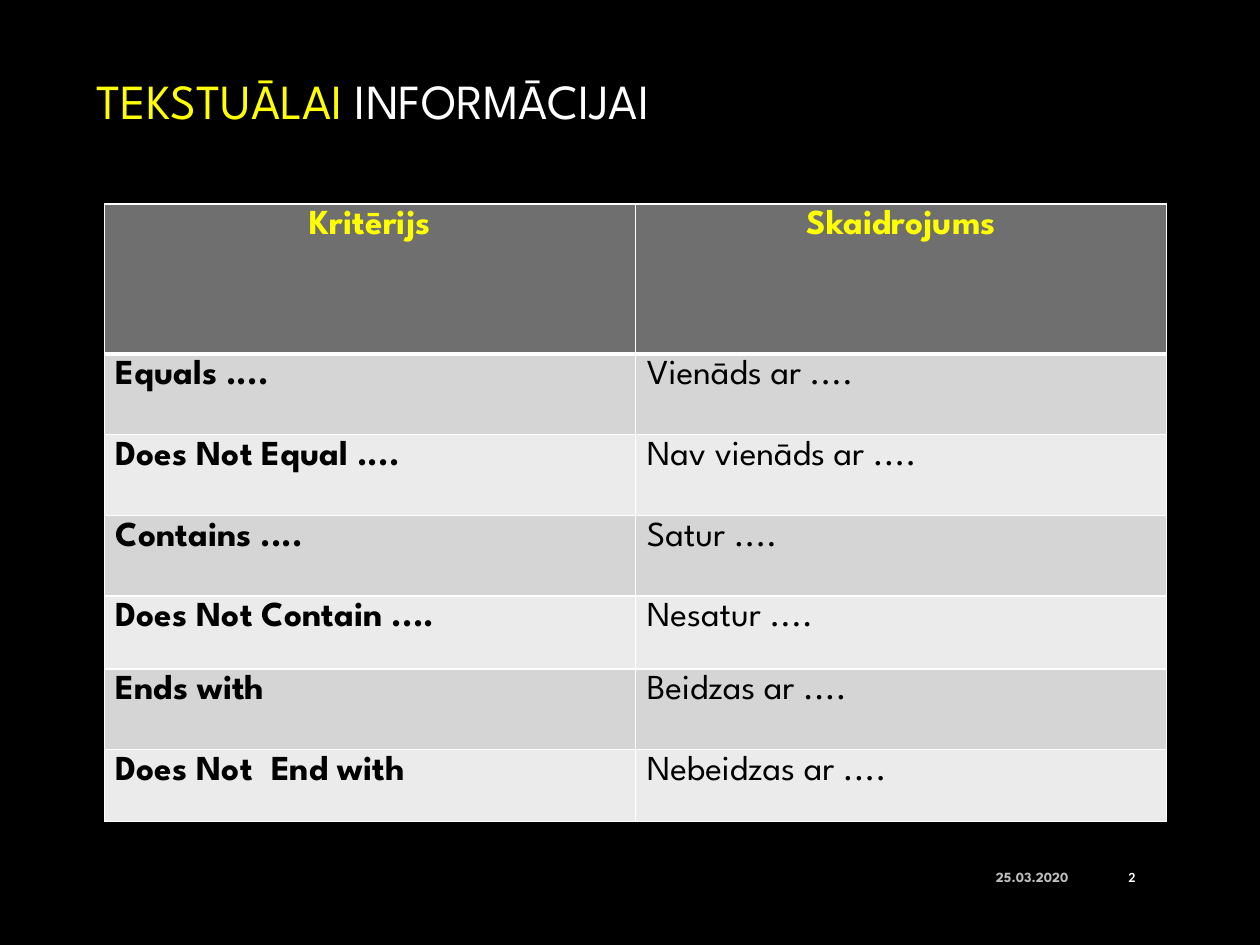
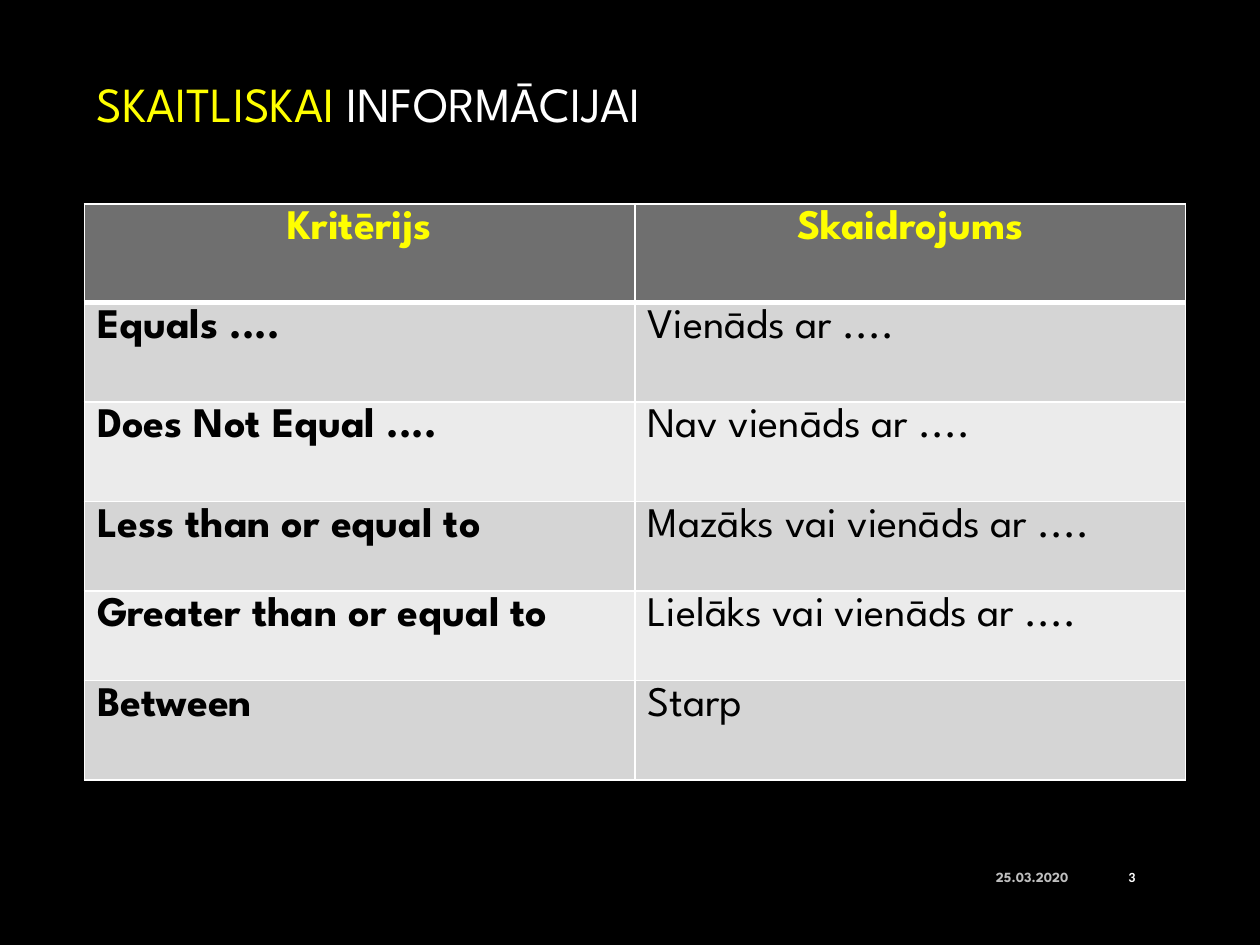
from lxml import etree
from pptx import Presentation
from pptx.dml.color import RGBColor
from pptx.enum.text import MSO_ANCHOR, PP_ALIGN
from pptx.oxml.ns import qn
from pptx.util import Inches, Pt

BLACK = RGBColor(0x00, 0x00, 0x00)
WHITE = RGBColor(0xFF, 0xFF, 0xFF)
YELLOW = RGBColor(0xFF, 0xFF, 0x00)
SILVER = RGBColor(0xBF, 0xBF, 0xBF)
HEADER_GREY = RGBColor(0x6F, 0x6F, 0x6F)
BAND_DARK = RGBColor(0xD5, 0xD5, 0xD5)
BAND_LIGHT = RGBColor(0xEB, 0xEB, 0xEB)
FONT = "League Spartan"

HEADINGS = ("Kritērijs", "Skaidrojums")
SLIDES = [
    dict(
        number="2", accent="TEKSTUĀLAI", title_top=0.32, title_height=0.94,
        left=0.83, col_width=4.215, size=20, margin=0.09,
        heights=[1.19, 0.64, 0.64, 0.64, 0.58, 0.64, 0.57],
        rows=[
            ("Equals ....", "Vienāds ar ...."),
            ("Does Not Equal ....", "Nav vienāds ar ...."),
            ("Contains ....", "Satur ...."),
            ("Does Not Contain ....", "Nesatur ...."),
            ("Ends with", "Beidzas ar ...."),
            ("Does Not  End with", "Nebeidzas ar ...."),
        ],
    ),
    dict(
        number="3", accent="SKAITLISKAI", title_top=0.43, title_height=0.78,
        left=0.67, col_width=4.37, size=24, margin=0.1,
        heights=[0.78, 0.79, 0.79, 0.71, 0.71, 0.79],
        rows=[
            ("Equals ....", "Vienāds ar ...."),
            ("Does Not Equal ....", "Nav vienāds ar ...."),
            ("Less than or equal to", "Mazāks vai vienāds ar ...."),
            ("Greater than or equal to", "Lielāks vai vienāds ar ...."),
            ("Between", "Starp"),
        ],
    ),
]


def write(tf, text, size=20, color=BLACK, bold=False, font=FONT,
          align=PP_ALIGN.LEFT, anchor=MSO_ANCHOR.TOP):
    """Add a formatted run to the first paragraph of a text frame."""
    tf.word_wrap = True
    tf.vertical_anchor = anchor
    p = tf.paragraphs[0]
    p.alignment = align
    r = p.add_run()
    r.text = text
    r.font.name = font
    r.font.size = Pt(size)
    r.font.bold = bold
    r.font.color.rgb = color


def add_borders(cell, **widths):
    """Draw white cell borders, with widths in points keyed by side."""
    tc_pr = cell._tc.get_or_add_tcPr()
    for side, width in widths.items():
        ln = etree.SubElement(tc_pr, qn(f"a:ln{side}"), w=str(Pt(width)))
        fill = etree.SubElement(ln, qn("a:solidFill"))
        etree.SubElement(fill, qn("a:srgbClr"), val=str(WHITE))


prs = Presentation()
prs.slide_width = Inches(10)
prs.slide_height = Inches(7.5)

for page in SLIDES:
    s = prs.slides.add_slide(prs.slide_layouts[6])
    s.background.fill.solid()
    s.background.fill.fore_color.rgb = BLACK

    # Title in two colours
    title = s.shapes.add_textbox(Inches(0.67), Inches(page["title_top"]),
                                 Inches(8.22), Inches(page["title_height"]))
    for text, color in ((page["accent"], YELLOW), (" INFORMĀCIJAI", WHITE)):
        write(title.text_frame, text, size=28, color=color,
              anchor=MSO_ANCHOR.MIDDLE)

    # Criteria table
    rows = [HEADINGS] + page["rows"]
    table = s.shapes.add_table(
        len(rows), 2, Inches(page["left"]), Inches(1.62),
        Inches(2 * page["col_width"]), Inches(sum(page["heights"]))).table
    table.horz_banding = False
    for column in table.columns:
        column.width = Inches(page["col_width"])
    for i, (height, texts) in enumerate(zip(page["heights"], rows)):
        table.rows[i].height = Inches(height)
        header = i == 0
        band = HEADER_GREY if header else BAND_DARK if i % 2 else BAND_LIGHT
        for j, text in enumerate(texts):
            cell = table.cell(i, j)
            cell.margin_left = cell.margin_right = Inches(page["margin"])
            cell.margin_top = cell.margin_bottom = Inches(0.05)
            add_borders(cell, L=1, R=1, T=3 if i == 1 else 1,
                        B=3 if header else 1)
            cell.fill.solid()
            cell.fill.fore_color.rgb = band
            write(cell.text_frame, text, size=page["size"],
                  color=YELLOW if header else BLACK, bold=header or j == 0,
                  align=PP_ALIGN.CENTER if header else PP_ALIGN.LEFT)

    # Footer with date and slide number
    for text, left, width, color, font in (
            ("25.03.2020", 7.17, 1.41, SILVER, FONT),
            (page["number"], 8.66, 0.45, WHITE, "Calibri")):
        footer = s.shapes.add_textbox(Inches(left), Inches(6.76),
                                      Inches(width), Inches(0.4))
        write(footer.text_frame, text, size=8, color=color, bold=True,
              font=font, align=PP_ALIGN.RIGHT, anchor=MSO_ANCHOR.MIDDLE)

prs.save("out.pptx")
